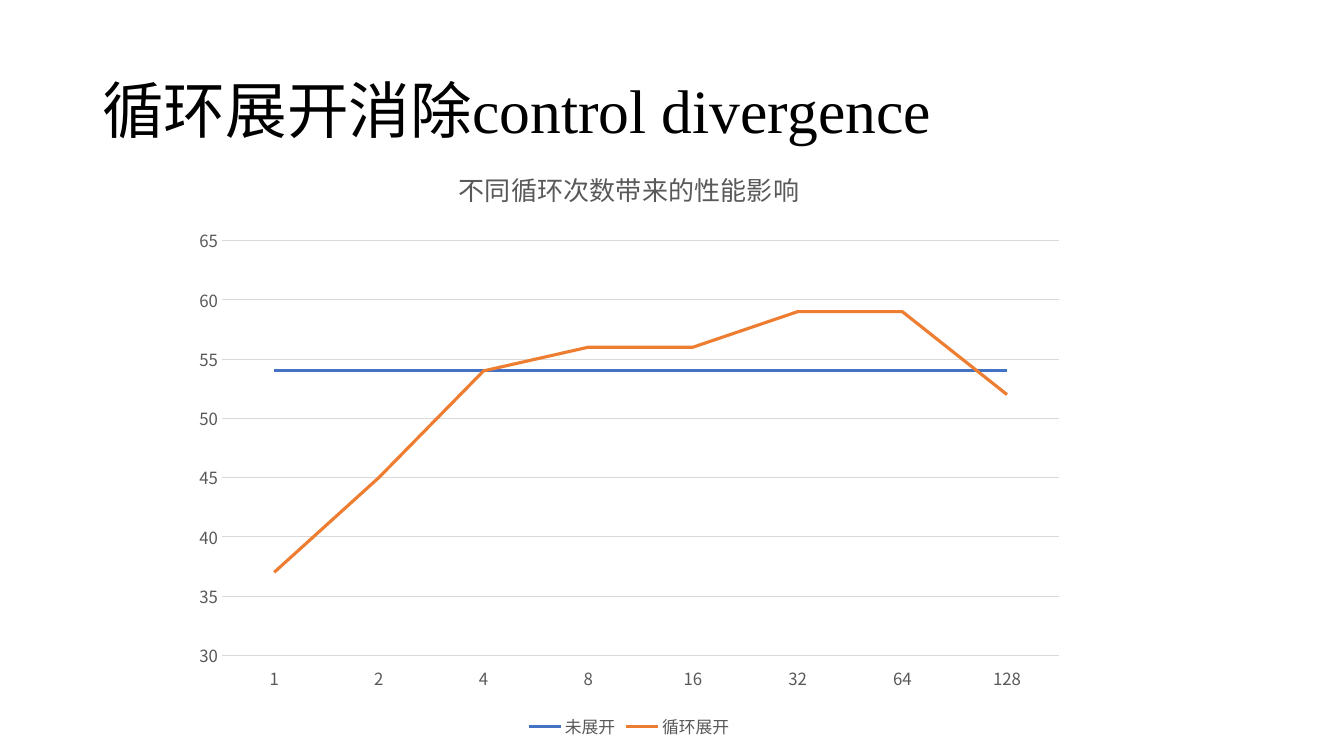
from pptx import Presentation
from pptx.chart.data import CategoryChartData
from pptx.dml.color import RGBColor
from pptx.enum.chart import XL_CHART_TYPE as ChartType, XL_LEGEND_POSITION as LegendPosition
from pptx.enum.chart import XL_TICK_LABEL_POSITION as LabelPosition, XL_TICK_MARK as TickMark
from pptx.enum.text import MSO_ANCHOR as Anchor
from pptx.oxml import parse_xml
from pptx.oxml.ns import nsdecls
from pptx.util import Cm, Pt

COLORS = {
    "title": "000000",
    "label": "595959",
    "grid": "D9D9D9",
    "未展开": "4472C4",
    "循环展开": "ED7D31",
}
CHINESE_FONT = "Noto Sans CJK SC"
LATIN_FONT = "Times New Roman"


def add_text(paragraph, text, size, color, font=CHINESE_FONT):
    run = paragraph.add_run()
    run.text = text
    run.font.size = Pt(size)
    run.font.bold = False
    run.font.name = font
    run.font.color.rgb = RGBColor.from_string(COLORS[color])
    east_asian = parse_xml(f'<a:ea {nsdecls("a")} typeface="{font}"/>')
    run.font._element.find("{*}latin").addnext(east_asian)


def style_line(line, color, width):
    line.color.rgb = RGBColor.from_string(COLORS[color])
    line.width = Pt(width)


presentation = Presentation()
presentation.slide_width, presentation.slide_height = Cm(33.87), Cm(19.05)
slide = presentation.slides.add_slide(presentation.slide_layouts[6])

# Title
title_box = slide.shapes.add_textbox(Cm(2.33), Cm(1.01), Cm(29.21), Cm(3.68))
title_frame = title_box.text_frame
title_frame.word_wrap = True
title_frame.vertical_anchor = Anchor.MIDDLE
title = title_frame.paragraphs[0]
title.line_spacing = 0.9
add_text(title, "循环展开消除", size=44, color="title")
add_text(title, "control divergence", size=44, color="title", font=LATIN_FONT)

# Line chart
chart_data = CategoryChartData()
chart_data.categories = [str(2 ** power) for power in range(8)]
chart_data.add_series("未展开", [54] * 8)
chart_data.add_series("循环展开", [37, 45, 54, 56, 56, 59, 59, 52])
chart = slide.shapes.add_chart(
    ChartType.LINE, Cm(4.57), Cm(3.66), Cm(22.58), Cm(15.06), chart_data
).chart
chart.font.size = Pt(12)
chart.font.name = CHINESE_FONT
chart.font.color.rgb = RGBColor.from_string(COLORS["label"])
chart_title = chart.chart_title.text_frame.paragraphs[0]
add_text(chart_title, "不同循环次数带来的性能影响", size=18.6, color="label")

# Series
chart.plots[0].vary_by_categories = False
for series in chart.plots[0].series:
    series.smooth = False
    style_line(series.format.line, series.name, 2.25)

# Axes: the category axis crosses at 35, its labels stay at the bottom
category_axis, value_axis = chart.category_axis, chart.value_axis
for axis in (category_axis, value_axis):
    axis.major_tick_mark = axis.minor_tick_mark = TickMark.NONE
category_axis.tick_label_position = LabelPosition.LOW
style_line(category_axis.format.line, "grid", 0.75)
value_axis.minimum_scale, value_axis.maximum_scale = 30, 65
value_axis.major_unit = 5
value_axis.crosses_at = 35
value_axis.format.line.fill.background()
style_line(value_axis.major_gridlines.format.line, "grid", 0.75)

# Legend
chart.has_legend = True
chart.legend.position = LegendPosition.BOTTOM
chart.legend.include_in_layout = False

presentation.save("out.pptx")
